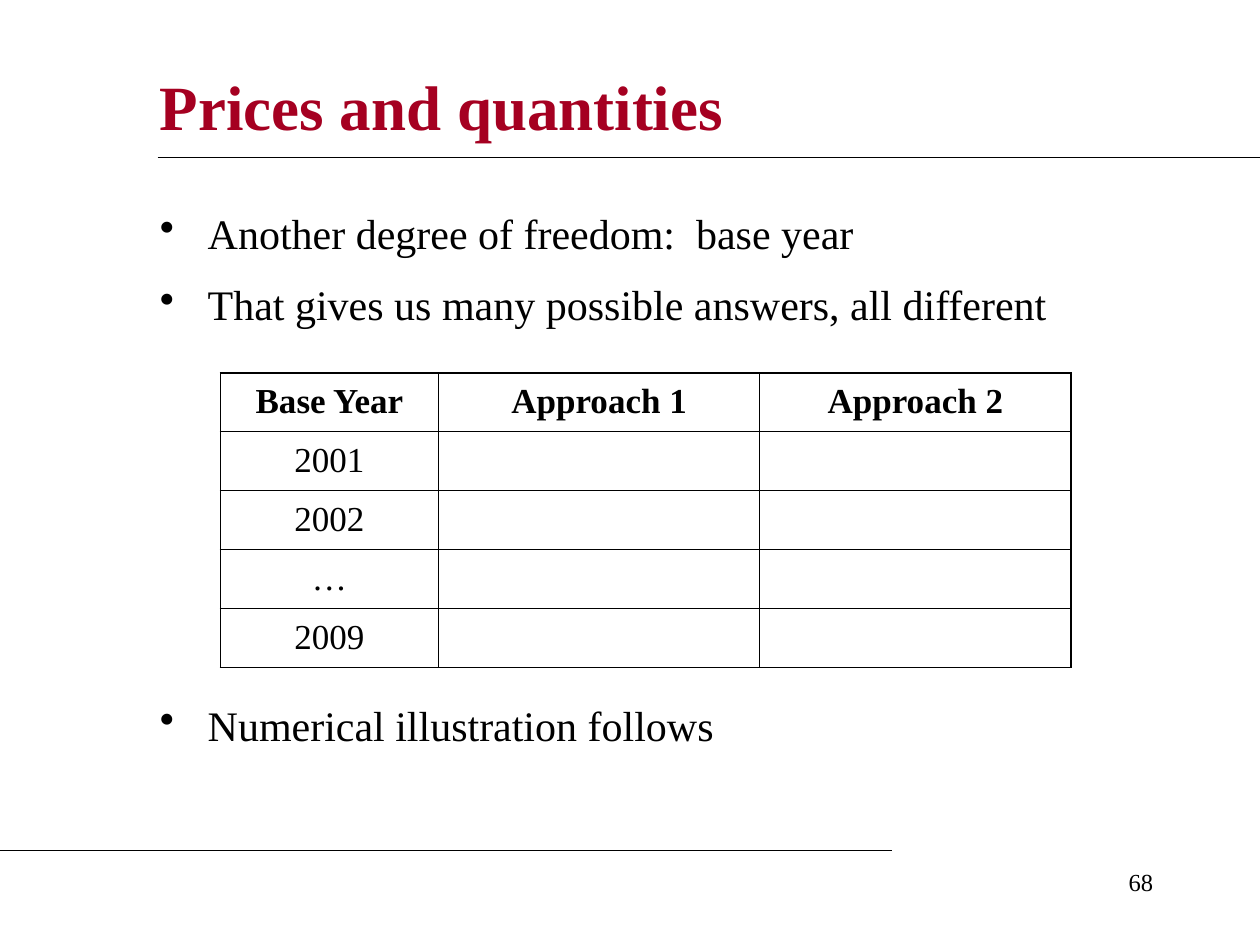
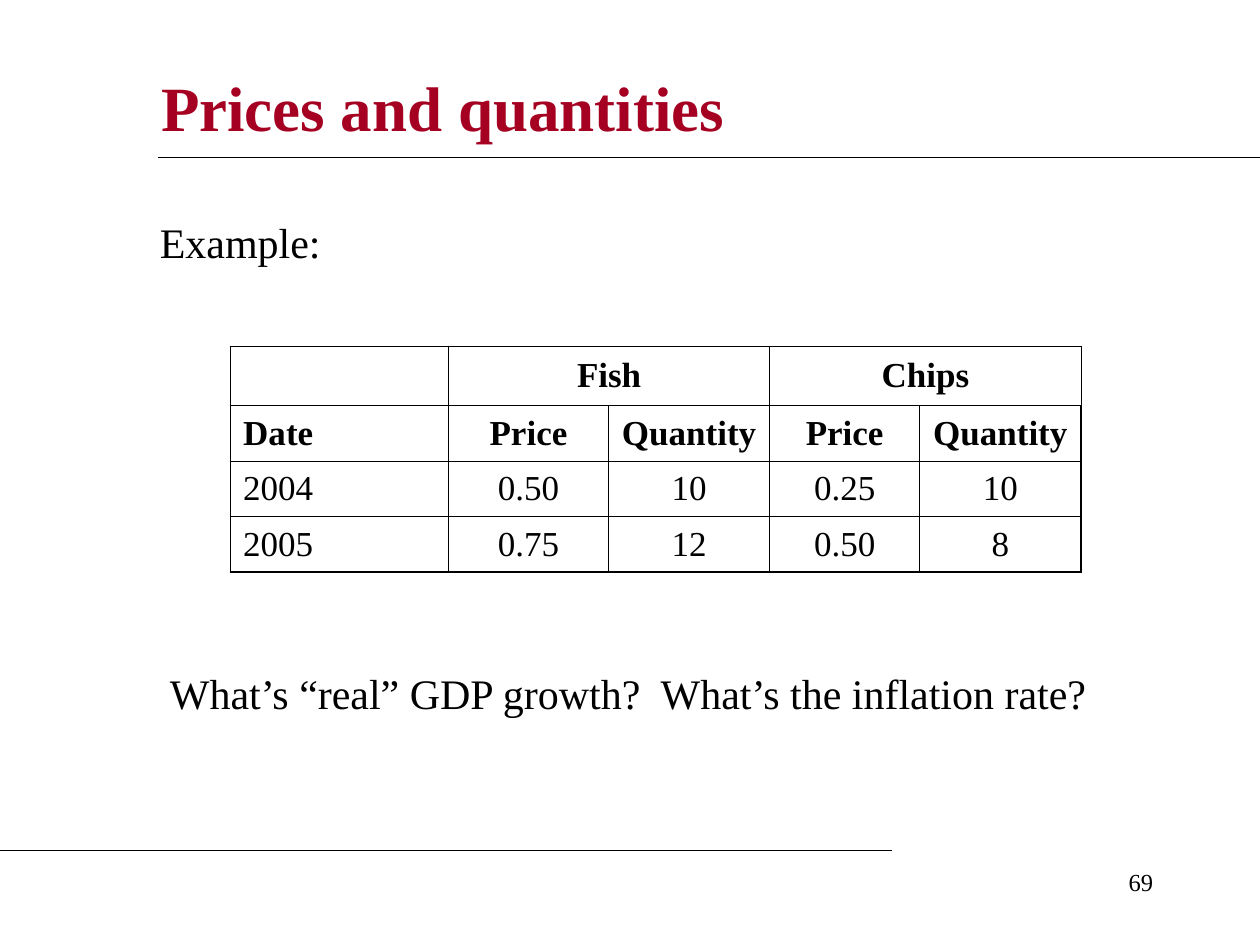
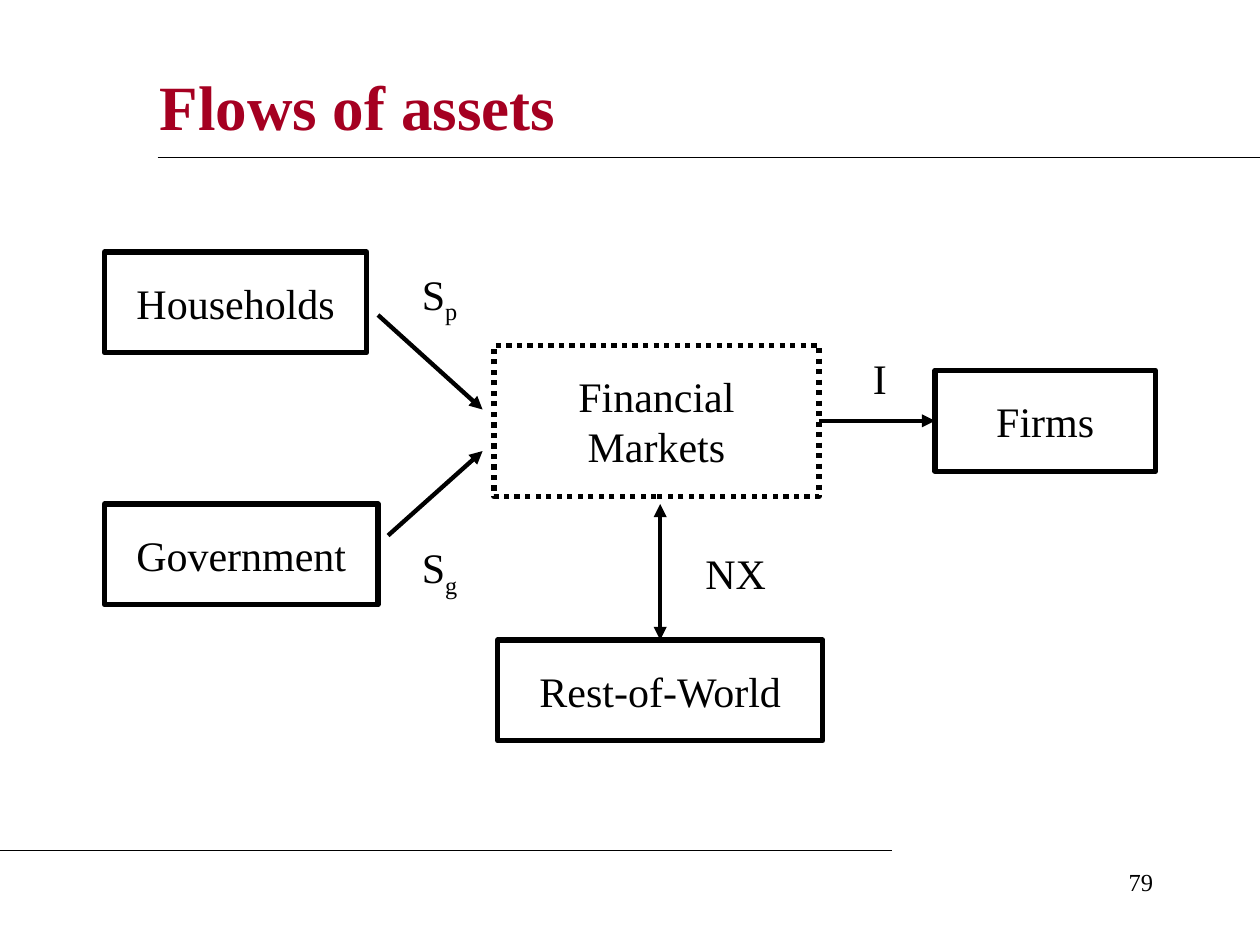
from lxml import etree
from pptx import Presentation, util as u
from pptx.dml.color import RGBColor
from pptx.enum import dml, shapes, text
from pptx.oxml import ns

FONT = "Times New Roman"
BLACK, WHITE, CRIMSON = "000000", "FFFFFF", "A50021"
CENTER, RIGHT = text.PP_ALIGN.CENTER, text.PP_ALIGN.RIGHT
MIDDLE = text.MSO_ANCHOR.MIDDLE
OUTER, INNER = 1.08, 0.45  # table border widths in points


def color(value):
    return RGBColor.from_string(value)


def apply(target, values):
    for name, value in values.items():
        setattr(target, name, value)


def add_xml(parent, tag, **attributes):
    return etree.SubElement(parent, ns.qn(tag), attributes)


# Text

def add_run(paragraph, content, size=24, hue=BLACK, bold=False, baseline=None):
    run = paragraph.add_run()
    run.text = content
    apply(run.font, {"name": FONT, "size": u.Pt(size), "bold": bold})
    run.font.color.rgb = color(hue)
    if baseline is not None:
        run.font._element.set("baseline", str(baseline))


def add_text(slide, box, content, align=None, anchor=text.MSO_ANCHOR.TOP, **font):
    shape = slide.shapes.add_textbox(*map(u.Inches, box))
    apply(shape.text_frame, {"word_wrap": True, "vertical_anchor": anchor})
    paragraph = shape.text_frame.paragraphs[0]
    paragraph.alignment = align
    add_run(paragraph, content, **font)
    return paragraph


def add_bullets(slide, box, items, line_spacing):
    frame = slide.shapes.add_textbox(*map(u.Inches, box)).text_frame
    frame.word_wrap = True
    for index, item in enumerate(items):
        paragraph = frame.add_paragraph() if index else frame.paragraphs[0]
        properties = paragraph._p.get_or_add_pPr()
        properties.set("marL", str(u.Inches(0.38)))
        properties.set("indent", str(u.Inches(-0.38)))
        add_xml(properties, "a:buChar", char="•")
        apply(paragraph, {"line_spacing": line_spacing,
                          "space_before": u.Pt(15 if index else 0)})
        add_run(paragraph, item)


def add_symbol(slide, box, letter, subscript):
    paragraph = add_text(slide, box, letter)
    add_run(paragraph, subscript, baseline=-25000)


# Shapes and lines

def add_line(slide, start, end, width=0.75, head=False, tail=False):
    line = slide.shapes.add_connector(
        shapes.MSO_CONNECTOR.STRAIGHT, *map(u.Inches, (*start, *end)))
    line.line.color.rgb = color(BLACK)
    line.line.width = u.Pt(width)
    outline = line.line._get_or_add_ln()
    for tag, wanted in (("a:headEnd", head), ("a:tailEnd", tail)):
        if wanted:
            add_xml(outline, tag, type="triangle")
    add_xml(line._element.spPr, "a:effectLst")
    return line


def add_box(slide, box, label, dashed=False):
    shape = slide.shapes.add_shape(shapes.MSO_SHAPE.RECTANGLE, *map(u.Inches, box))
    shape.shadow.inherit = False
    shape.fill.background()
    shape.line.color.rgb = color(BLACK)
    shape.line.width = u.Pt(3)
    if dashed:
        shape.line.dash_style = dml.MSO_LINE.ROUND_DOT
    margins = {f"margin_{side}": u.Inches(0.2)
               for side in ("left", "top", "right", "bottom")}
    apply(shape.text_frame, {"word_wrap": True, **margins,
                             "vertical_anchor": text.MSO_ANCHOR.TOP})
    paragraph = shape.text_frame.paragraphs[0]
    paragraph.alignment = CENTER
    add_run(paragraph, label)
    return shape


# Tables

def set_borders(cell, widths):
    properties = cell._tc.get_or_add_tcPr()
    for index, (side, width) in enumerate(zip("LRTB", widths)):
        border = add_xml(properties, f"a:ln{side}", w=str(u.Pt(width)))
        fill = add_xml(border, "a:solidFill")
        add_xml(fill, "a:srgbClr", val=BLACK)
        properties.insert(index, border)


def add_table(slide, position, columns, heights, rows, header_rows=1,
              left_column=False, merges=()):
    size = sum(columns), sum(heights)
    table = slide.shapes.add_table(
        len(rows), len(columns), *map(u.Inches, (*position, *size))).table
    apply(table, {"first_row": False, "horz_banding": False})
    for column, width in zip(table.columns, columns):
        column.width = u.Inches(width)
    last_row, last_column = len(rows) - 1, len(columns) - 1
    for r, values in enumerate(rows):
        table.rows[r].height = u.Inches(heights[r])
        for c, value in enumerate(values):
            cell = table.cell(r, c)
            cell.vertical_anchor = MIDDLE
            cell.fill.background()
            edges = c == 0, c == last_column, r == 0, r == last_row
            set_borders(cell, [OUTER if edge else INNER for edge in edges])
            if value:
                paragraph = cell.text_frame.paragraphs[0]
                if c or not left_column:
                    paragraph.alignment = CENTER
                add_run(paragraph, value, size=20, bold=r < header_rows)
    for row, first, last in merges:
        table.cell(row, first).merge(table.cell(row, last))


# Shared frame of every slide

def add_slide(presentation, title, number, title_box=(1.17, 0.42, 8.08, 0.83)):
    slide = presentation.slides.add_slide(presentation.slide_layouts[6])
    slide.background.fill.solid()
    slide.background.fill.fore_color.rgb = color(WHITE)
    add_text(slide, (7.17, 6.83, 2.08, 0.5), number, align=RIGHT, size=14)
    add_text(slide, title_box, title, anchor=MIDDLE, size=36, hue=CRIMSON, bold=True)
    add_line(slide, (1.25, 1.25), (10, 1.25))
    add_line(slide, (0, 6.75), (7.08, 6.75))
    return slide


# Slides

def build_base_years(presentation):
    slide = add_slide(presentation, "Prices and quantities", "68")
    add_bullets(slide, (1.17, 1.64, 8.08, 1.03),
                ["Another degree of freedom:  base year",
                 "That gives us many possible answers, all different"], 0.9)
    years = ["2001", "2002", "…", "2009"]
    add_table(slide, (1.75, 2.96), [1.73, 2.55, 2.47], [0.46] + [0.47] * 4,
              [["Base Year", "Approach 1", "Approach 2"]]
              + [[year, "", ""] for year in years])
    add_bullets(slide, (1.17, 5.58, 8.08, 1.28), ["Numerical illustration follows"], 0.8)


def build_example(presentation):
    slide = add_slide(presentation, "Prices and quantities", "69",
                      (1.18, 0.47, 8.08, 0.75))
    add_table(slide, (1.83, 2.75), [1.73, 1.27, 1.28, 1.19, 1.28],
              [0.47] + [0.44] * 3,
              [["", "Fish", "", "Chips", ""],
               ["Date", "Price", "Quantity", "Price", "Quantity"],
               ["2004", "0.50", "10", "0.25", "10"],
               ["2005", "0.75", "12", "0.50", "8"]],
              header_rows=2, left_column=True, merges=[(0, 1, 2), (0, 3, 4)])
    add_text(slide, (1.17, 1.67, 4.08, 0.5), "Example:")
    add_text(slide, (1.25, 5.25, 8.08, 0.5),
             "What’s “real” GDP growth?  What’s the inflation rate?")


def build_asset_flows(presentation):
    slide = add_slide(presentation, "Flows of assets", "79")
    add_box(slide, (0.83, 2, 2.08, 0.8), "Households")
    add_box(slide, (0.83, 4, 2.17, 0.8), "Government")
    world = add_box(slide, (3.95, 5.08, 2.58, 0.8), "Rest-of-World")
    markets = add_box(slide, (3.92, 2.74, 2.58, 1.2), "Financial Markets", dashed=True)
    firms = add_box(slide, (7.42, 2.94, 1.75, 0.8), "Firms")

    # Flows between the boxes
    add_line(slide, (3, 2.5), (3.83, 3.25), 2.5, tail=True)
    add_line(slide, (3.08, 4.25), (3.83, 3.58), 2.5, tail=True)
    investment = add_line(slide, (6.5, 3.34), (7.42, 3.34), 2.5, tail=True)
    investment.begin_connect(markets, 3)
    investment.end_connect(firms, 1)
    exports = add_line(slide, (5.24, 4), (5.24, 5.08), 2.5, head=True, tail=True)
    exports.end_connect(world, 0)

    # Flow labels
    add_symbol(slide, (3.25, 2.08, 0.67, 0.56), "S", "p")
    add_symbol(slide, (3.25, 4.25, 0.67, 0.56), "S", "g")
    add_text(slide, (5.5, 4.3, 0.75, 0.5), "NX")
    add_text(slide, (6.83, 2.75, 0.42, 0.5), "I")


def main():
    presentation = Presentation()
    apply(presentation, {"slide_width": u.Inches(10), "slide_height": u.Inches(7.5)})
    build_base_years(presentation)
    build_example(presentation)
    build_asset_flows(presentation)
    presentation.save("out.pptx")


if __name__ == "__main__":
    main()
